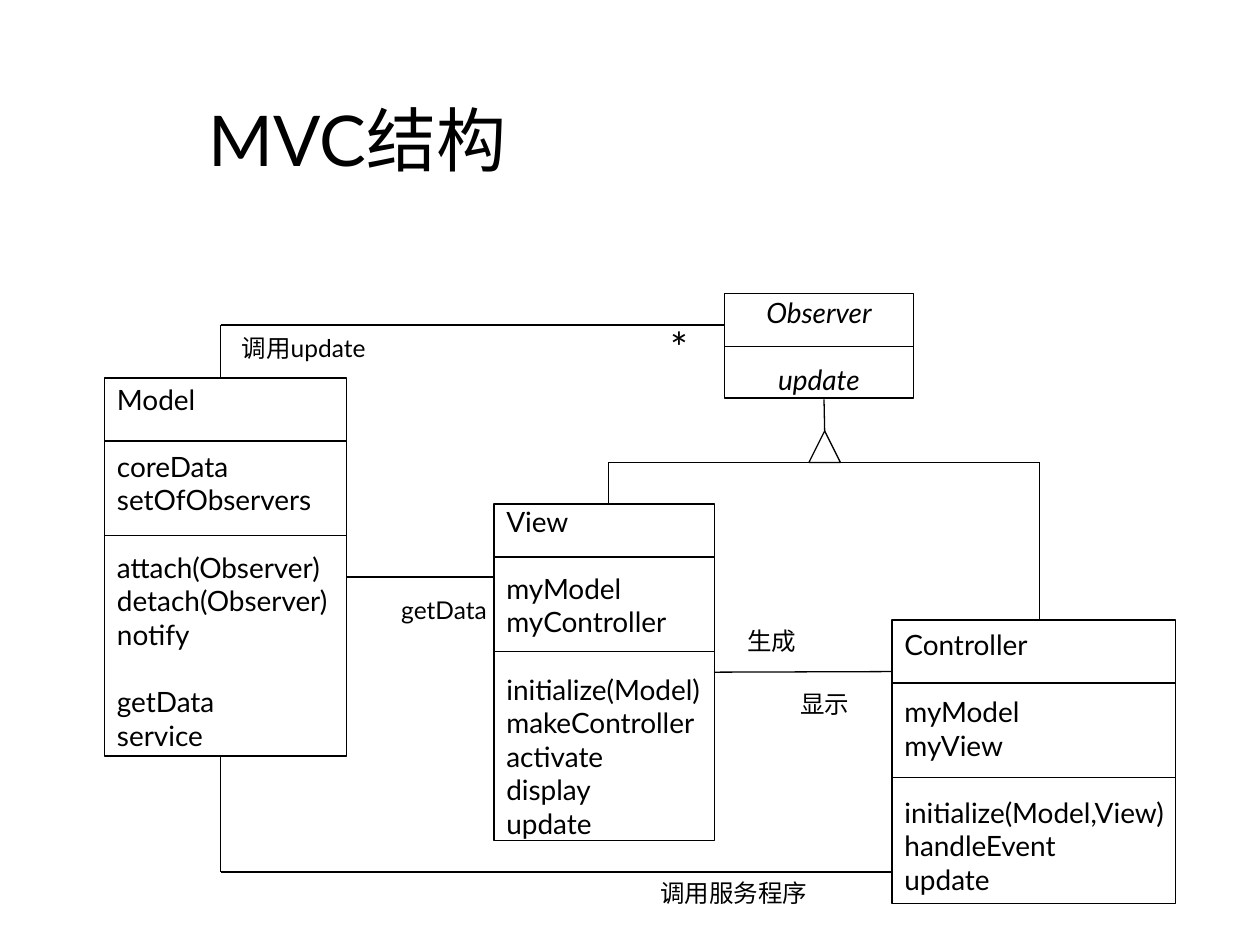
from pptx import Presentation
from pptx.util import Inches, Pt
from pptx.dml.color import RGBColor
from pptx.enum.shapes import MSO_CONNECTOR, MSO_SHAPE
from pptx.enum.text import MSO_ANCHOR, PP_ALIGN
from pptx.oxml.ns import qn
from lxml.etree import SubElement

COLORS = {"ink": "000000"}
FONT = "Lato"
INK = RGBColor.from_string(COLORS["ink"])
LEFT, MID = PP_ALIGN.LEFT, PP_ALIGN.CENTER

TITLE = ("MVC结构", 1.56, 0.72, 2.63, 1.24)

CLASSES = {
    "Observer": {
        "at": (5.75, 2.33, 1.5, 0.83), "rules": [0.42], "abstract": True,
        "parts": [["Observer"], ["update"]],
    },
    "Model": {
        "at": (0.83, 3, 1.92, 3), "rules": [0.5, 1.25], "abstract": False,
        "parts": [["Model"], ["coreData", "setOfObservers"],
                  ["attach(Observer)", "detach(Observer)", "notify"],
                  ["getData", "service"]],
    },
    "View": {
        "at": (3.92, 4, 1.75, 2.67), "rules": [0.42, 1.17], "abstract": False,
        "parts": [["View"], ["myModel", "myController"],
                  ["initialize(Model)", "makeController", "activate",
                   "display", "update"]],
    },
    "Controller": {
        "at": (7.08, 4.92, 2.25, 2.25), "rules": [0.5, 1.25], "abstract": False,
        "parts": [["Controller"], ["myModel", "myView"],
                  ["initialize(Model,View)", "handleEvent", "update"]],
    },
}

TIP = (6.42, 3.42, 0.25, 0.25)

PATHS = [
    [(1.75, 3), (1.75, 2.58), (5.75, 2.58)],
    [(1.75, 6), (1.75, 6.92), (7.08, 6.92)],
    [(2.75, 4.58), (3.92, 4.58)],
    [(4.83, 4), (4.83, 3.67), (8.25, 3.67), (8.25, 4.92)],
]

LABELS = [
    ("*", 24, 5.2, 2.5, 0.38, 0.5),
    ("调用update", 14, 1.77, 2.59, 1.28, 0.34),
    ("getData", 14, 3.06, 4.67, 0.93, 0.34),
    ("生成", 14, 5.83, 4.92, 0.59, 0.34),
    ("显示", 14, 6.25, 5.42, 0.59, 0.34),
    ("调用服务程序", 14, 5.14, 6.92, 1.37, 0.34),
]

deck = Presentation()
deck.slide_width, deck.slide_height = Inches(10), Inches(7.5)
shapes = deck.slides.add_slide(deck.slide_layouts[6]).shapes


def style(para, size, align, italic=False):
    para.alignment = align
    font = para.font
    font.name, font.size, font.italic = FONT, Pt(size), italic
    font.color.rgb = INK


def outline(kind, at):
    shape = shapes.add_shape(kind, *map(Inches, at))
    shape.shadow.inherit = False
    shape.fill.background()
    shape.line.color.rgb = INK
    shape.line.width = Pt(0.75)
    return shape


def line(start, end):
    link = shapes.add_connector(MSO_CONNECTOR.STRAIGHT,
                                *map(Inches, (*start, *end)))
    link.line.color.rgb = INK
    link.line.width = Pt(0.75)
    SubElement(link._element.spPr, qn("a:effectLst"))
    return link


def label(text, size, at, align, wrap):
    frame = shapes.add_textbox(*map(Inches, at)).text_frame
    frame.word_wrap = wrap
    frame.text = text
    style(frame.paragraphs[0], size, align)


def draw_class(at, rules, abstract, parts):
    box = outline(MSO_SHAPE.RECTANGLE, at)
    frame = box.text_frame
    frame.word_wrap = True
    frame.vertical_anchor = MSO_ANCHOR.MIDDLE
    if not abstract:
        frame.margin_right = Inches(0.05)
    frame.text = "\n".join(row for part in parts for row in part)
    paras = iter(frame.paragraphs)
    for i, part in enumerate(parts):
        for j in range(len(part)):
            para = next(paras)
            style(para, 16, MID if abstract else LEFT, abstract)
            if i and not j:
                para.space_before = Pt(19.2)
    x, y, w, h = at
    for drop in rules:
        line((x, y + drop), (x + w, y + drop))
    return box


label(TITLE[0], 40, TITLE[1:], LEFT, True)
boxes = {name: draw_class(**data) for name, data in CLASSES.items()}

for path in PATHS:
    for start, end in zip(path, path[1:]):
        line(start, end)

line((5.67, 5.33), (7.08, 5.33)).begin_connect(boxes["View"], 3)
tip = outline(MSO_SHAPE.FLOWCHART_EXTRACT, TIP)
line((6.54, 3.42), (6.54, 3.17)).begin_connect(tip, 0)

for text, size, *at in LABELS:
    label(text, size, at, MID, False)

deck.save("out.pptx")
